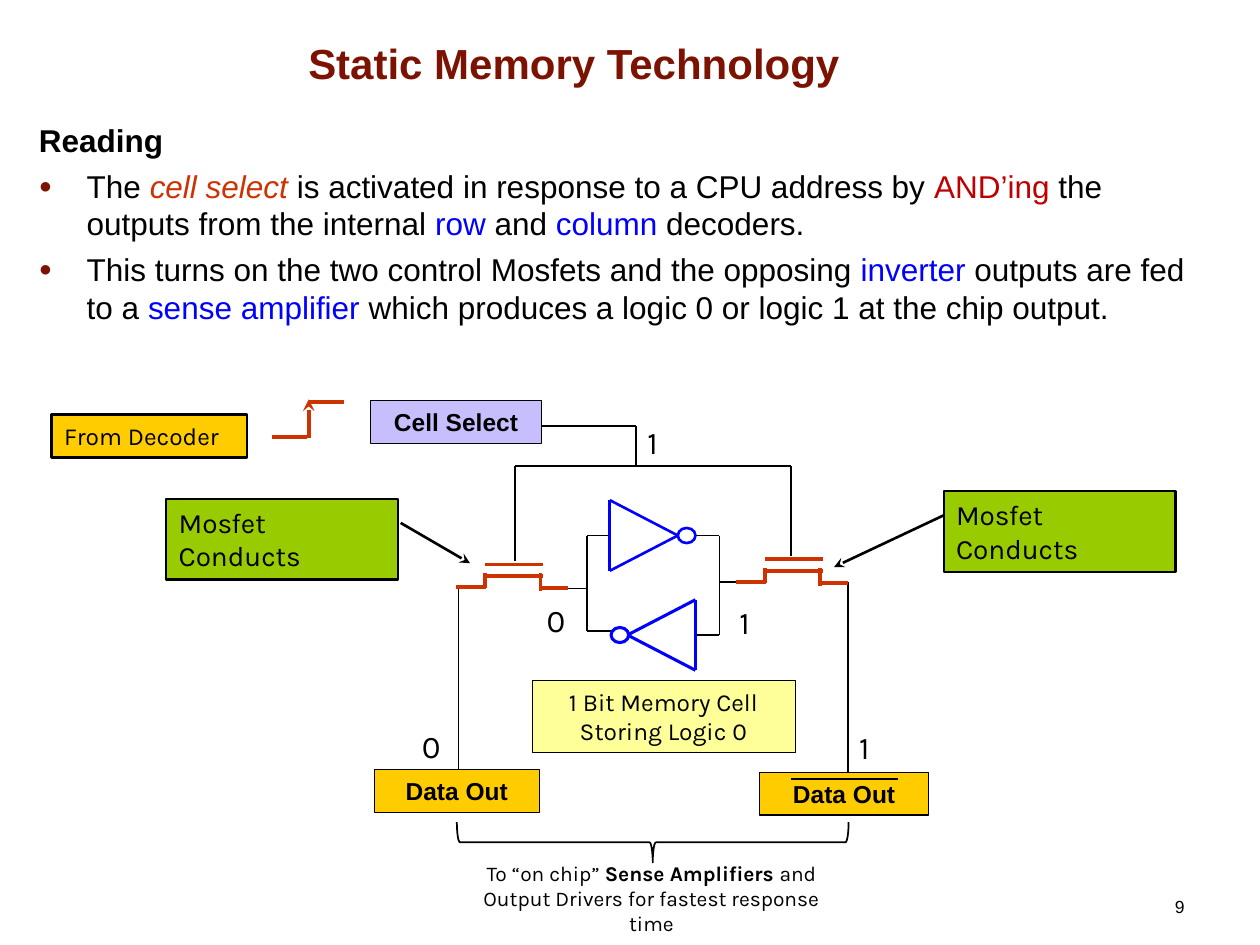
"""Build the Static Memory Technology slide about reading a memory cell."""
from lxml import etree
from pptx import Presentation
from pptx.dml.color import RGBColor
from pptx.enum.shapes import MSO_CONNECTOR, MSO_SHAPE
from pptx.enum.text import MSO_ANCHOR, MSO_AUTO_SIZE, PP_ALIGN
from pptx.oxml.ns import qn
from pptx.util import Inches, Pt

STRAIGHT = MSO_CONNECTOR.STRAIGHT
RECTANGLE, OVAL, BRACE = MSO_SHAPE.RECTANGLE, MSO_SHAPE.OVAL, MSO_SHAPE.RIGHT_BRACE
LEFT, CENTER, RIGHT = PP_ALIGN.LEFT, PP_ALIGN.CENTER, PP_ALIGN.RIGHT
BOTTOM = MSO_ANCHOR.BOTTOM
NO_FIT, GROW = MSO_AUTO_SIZE.NONE, MSO_AUTO_SIZE.SHAPE_TO_FIT_TEXT

COLORS = {
    "black": "000000", "maroon": "7C1302", "orange": "CC3300", "red": "C00000",
    "blue": "0000FF", "yellow": "FFFF99", "lilac": "C7BEFE", "green": "99CC00",
    "gold": "FFCC00",
}
RGB = {name: RGBColor.from_string(value) for name, value in COLORS.items()}

presentation = Presentation()
presentation.slide_width, presentation.slide_height = Inches(10), Inches(7.5)
slide = presentation.slides.add_slide(presentation.slide_layouts[5])
shapes = slide.shapes


def add_line(x1, y1, x2, y2, color="black", width=1, arrow=False):
    """Draw a straight line, with a stealth head at its end if asked."""
    line = shapes.add_connector(STRAIGHT, Inches(x1), Inches(y1), Inches(x2), Inches(y2))
    line.line.color.rgb = RGB[color]
    line.line.width = Pt(width)
    etree.SubElement(line._element.spPr, qn("a:effectLst"))
    if arrow:
        etree.SubElement(line.line._get_or_add_ln(), qn("a:tailEnd"), type="stealth")


def add_label(text, left, top, width, height, size, font="Karla", bold=False,
              align=LEFT, fill=None, border=1, space=0.625):
    """Add a text box, or a bordered rectangle when a fill is given."""
    area = [Inches(value) for value in (left, top, width, height)]
    if fill:
        shape = shapes.add_shape(RECTANGLE, *area)
        shape.shadow.inherit = False
        shape.fill.solid()
        shape.fill.fore_color.rgb = RGB[fill]
        shape.line.color.rgb = RGB["black"]
        shape.line.width = Pt(border)
    else:
        shape = shapes.add_textbox(*area)
    frame = shape.text_frame
    frame.word_wrap = True
    frame.auto_size = GROW
    frame.vertical_anchor = MSO_ANCHOR.TOP
    paragraph = frame.paragraphs[0]
    paragraph.alignment = align
    paragraph.space_before = Pt(size * space)
    paragraph.font.name, paragraph.font.size, paragraph.font.bold = font, Pt(size), bold
    paragraph.font.color.rgb = RGB["black"]
    for index, part in enumerate(text.split("|")):
        run = paragraph.add_run()
        run.text = part
        if index % 2:
            run.font.bold = True


title = shapes.title
title.left, title.top, title.width, title.height = (
    Inches(value) for value in (0.43, 0.21, 8.25, 0.54))
title.text_frame.text = "Static Memory Technology"
title.text_frame.auto_size = NO_FIT
title.text_frame.vertical_anchor = BOTTOM
heading = title.text_frame.paragraphs[0]
heading.alignment = CENTER
heading.font.name, heading.font.size, heading.font.bold = "Arial", Pt(24), True
heading.font.color.rgb = RGB["maroon"]

body = shapes.add_textbox(Inches(0.21), Inches(0.91), Inches(9.35), Inches(6.22)).text_frame
body.word_wrap = True
body_paragraphs = [
    [("Reading", "black")],
    [("The ", "black"), ("cell select", "orange"),
     (" is activated in response to a CPU address by ", "black"), ("AND’ing", "red"),
     (" the outputs from the internal ", "black"), ("row", "blue"), (" and ", "black"),
     ("column ", "blue"), ("decoders.", "black")],
    [("This turns on the two control Mosfets and the opposing ", "black"),
     ("inverter", "blue"), (" outputs are fed to a ", "black"), ("sense amplifier", "blue"),
     (" which produces a logic 0 or logic 1 at the chip output.", "black")],
]
for index, runs in enumerate(body_paragraphs):
    paragraph = body.paragraphs[0] if index == 0 else body.add_paragraph()
    paragraph.space_before = Pt(4.5)
    paragraph.font.name, paragraph.font.size = "Arial", Pt(18)
    paragraph.font.bold = index == 0
    for text, color in runs:
        run = paragraph.add_run()
        run.text = text
        run.font.color.rgb = RGB[color]
        if color == "orange":
            run.font.italic = True
    properties = paragraph._p.get_or_add_pPr()
    properties.set("marL", str(Inches(0.38)))
    properties.set("indent", str(-Inches(0.38)))
    if index:
        bullet_color = etree.SubElement(properties, qn("a:buClr"))
        etree.SubElement(bullet_color, qn("a:srgbClr"), val=COLORS["maroon"])
        etree.SubElement(properties, qn("a:buSzPct"), val="70000")
        etree.SubElement(properties, qn("a:buFont"), typeface="Arial")
        etree.SubElement(properties, qn("a:buChar"), char="●")
        default_font = properties.find(qn("a:defRPr"))
        properties.append(default_font)

wires = [
    (3.77, 3.38, 5.05, 3.38), (5.05, 3.38, 5.05, 3.7), (4.09, 3.7, 6.28, 3.7),
    (4.09, 3.7, 4.09, 4.45), (6.28, 3.7, 6.28, 4.41),
    (3.64, 4.65, 3.64, 6.43), (6.73, 4.62, 6.73, 6.45),
    (4.51, 4.67, 4.66, 4.67), (4.66, 4.25, 4.66, 5.01),
    (4.66, 4.25, 4.84, 4.25), (4.66, 5.01, 4.85, 5.01),
    (5.71, 4.62, 5.86, 4.62), (5.71, 4.25, 5.71, 5.04),
    (5.52, 4.25, 5.71, 4.25), (5.53, 5.04, 5.71, 5.04),
]
for wire in wires:
    add_line(*wire)

mosfet = [
    (0.23, 0, 0.69, 0), (0.22, 0.09, 0.69, 0.09), (0.67, 0.19, 0.89, 0.19),
    (0, 0.18, 0.24, 0.18), (0.23, 0.07, 0.23, 0.19), (0.67, 0.07, 0.67, 0.21),
]
for left, top in [(3.62, 4.48), (5.84, 4.44)]:
    for x1, y1, x2, y2 in mosfet:
        add_line(left + x1, top + y1, left + x2, top + y2, "orange", 2.25)

inverters = [(4.84, 5.38, 4.25, 5.38, 1.5), (5.52, 4.98, 5.04, 4.85, 1.75)]
for base, tip, middle, bubble_left, width in inverters:
    add_line(base, middle - 0.28, base, middle + 0.28, "blue", width)
    for side in (-0.28, 0.28):
        add_line(tip, middle, base, middle + side, "blue", width)
    bubble = shapes.add_shape(OVAL, Inches(bubble_left), Inches(middle - 0.06),
                              Inches(0.14), Inches(0.12))
    bubble.shadow.inherit = False
    bubble.fill.background()
    bubble.line.color.rgb = RGB["blue"]
    bubble.line.width = Pt(width)

add_line(2.16, 3.47, 2.44, 3.47, "orange", 2.25)
add_line(2.45, 3.48, 2.45, 3.17, "orange", 2.25, arrow=True)
add_line(2.45, 3.19, 2.73, 3.19, "orange", 2.25)

for digit, left, top in [("1", 5.04, 3.31), ("0", 4.24, 4.72), ("1", 5.77, 4.74),
                         ("0", 3.25, 5.72), ("1", 6.72, 5.73)]:
    add_label(digit, left, top, 0.36, 0.4, 18)

for left, top in [(1.32, 3.96), (7.49, 3.9)]:
    add_label("Mosfet Conducts", left, top, 1.84, 0.64, 16, fill="green", border=1.25)
add_line(3.18, 4.15, 3.73, 4.47, width=1.5, arrow=True)
add_line(7.49, 4.09, 6.62, 4.5, width=1.5, arrow=True)

add_label("From Decoder", 0.41, 3.29, 1.55, 0.34, 14, fill="gold", border=1.5)
add_label("1 Bit Memory Cell Storing Logic 0", 4.22, 5.4, 2.09, 0.57, 14,
          align=CENTER, fill="yellow", border=0.25)
for text, left, top, width, fill in [("Cell Select", 2.94, 3.18, 1.36, "lilac"),
                                     ("Data Out", 2.97, 6.11, 1.31, "gold"),
                                     ("Data Out", 6.03, 6.13, 1.34, "gold")]:
    add_label(text, left, top, width, 0.34, 14, "Arial", True, CENTER, fill, 0.75)
add_line(6.28, 6.18, 7.13, 6.18, width=1.25)

brace = shapes.add_shape(BRACE, Inches(5.02), Inches(5.13), Inches(0.32), Inches(3.11))
brace.rotation = 90
brace.adjustments[0] = 0.08
brace.shadow.inherit = False
brace.fill.background()
brace.line.color.rgb = RGB["black"]
brace.line.width = Pt(1)

add_label("To “on chip” |Sense Amplifiers |and Output Drivers for fastest response time",
          3.57, 6.78, 3.2, 0.7, 12, align=CENTER, space=0)
add_label("9", 7.17, 7.06, 2.33, 0.28, 10, "Arial", align=RIGHT, space=0)

presentation.save("out.pptx")
